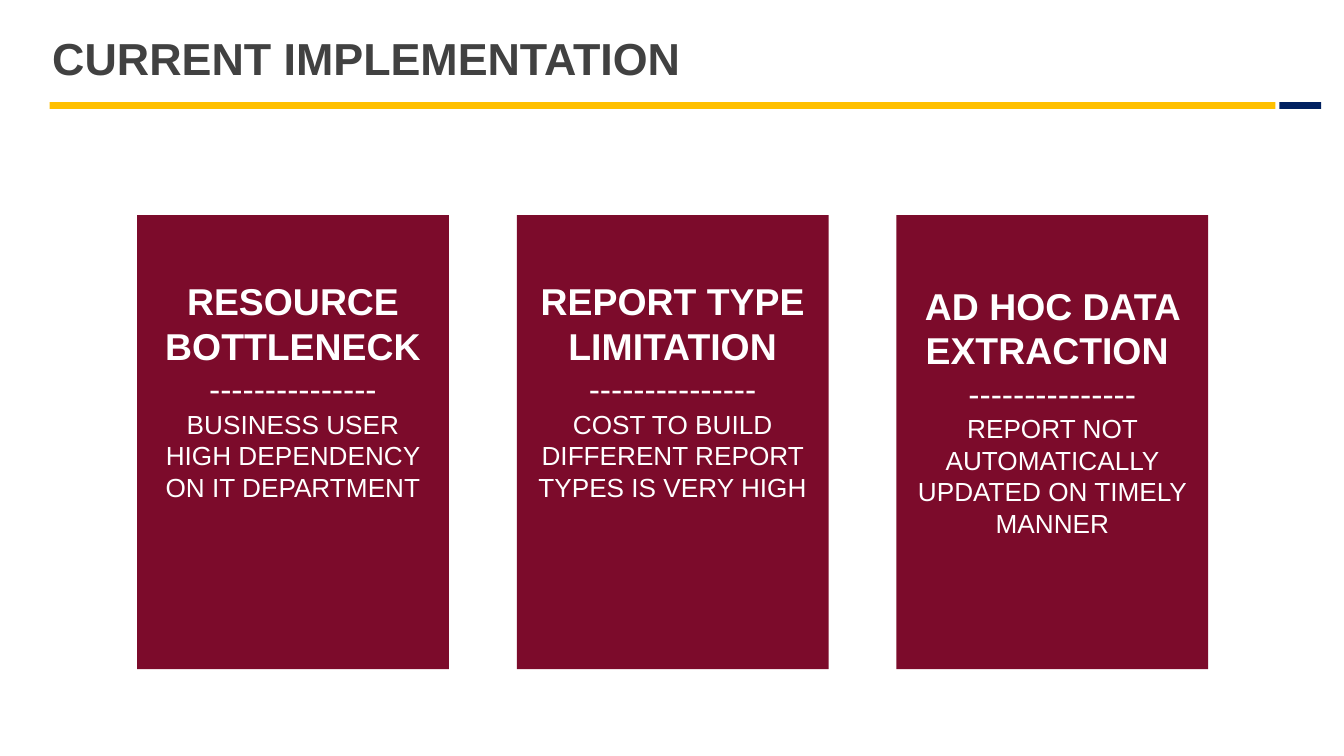
from pptx import Presentation
from pptx.dml.color import RGBColor
from pptx.enum.shapes import MSO_SHAPE as Shape
from pptx.enum.text import MSO_ANCHOR as Anchor, PP_ALIGN as Align
from pptx.util import Inches, Pt

GRAY = RGBColor(0x41, 0x41, 0x41)
WHITE = RGBColor(0xFF, 0xFF, 0xFF)
MAROON = RGBColor(0x7C, 0x0B, 0x2B)
GOLD = RGBColor(0xFF, 0xC0, 0x00)
NAVY = RGBColor(0x00, 0x20, 0x60)

# Heading, description, space kept free below the text
CARDS = [
    ("RESOURCE BOTTLENECK", "BUSINESS USER HIGH DEPENDENCY ON IT DEPARTMENT", 0.82),
    ("REPORT TYPE LIMITATION", "COST TO BUILD DIFFERENT REPORT TYPES IS VERY HIGH", 0.82),
    ("AD HOC DATA EXTRACTION ", "REPORT NOT AUTOMATICALLY UPDATED ON TIMELY MANNER", 0.52),
]
FIRST_LEFT, LAST_LEFT = 1.02, 6.67
CARD_PITCH = (LAST_LEFT - FIRST_LEFT) / (len(CARDS) - 1)


def add_block(left, top, width, height, color):
    block = slide.shapes.add_shape(
        Shape.RECTANGLE, Inches(left), Inches(top), Inches(width), Inches(height))
    block.shadow.inherit = False
    block.fill.solid()
    block.fill.fore_color.rgb = color
    block.line.fill.background()
    return block


def write(para, text, size, color, bold):
    para.text = text
    font = para.runs[0].font
    font.name = "Arial"
    font.size = Pt(size)
    font.bold = bold
    font.color.rgb = color


deck = Presentation()
deck.slide_width = Inches(10)
deck.slide_height = deck.slide_width * 9 // 16
slide = deck.slides.add_slide(deck.slide_layouts[6])

title = slide.shapes.add_textbox(Inches(0.29), Inches(0.06), Inches(7.71), Inches(0.8))
frame = title.text_frame
frame.word_wrap = True
frame.vertical_anchor = Anchor.MIDDLE
frame.margin_top = frame.margin_bottom = 0
write(frame.paragraphs[0], "CURRENT IMPLEMENTATION", 24, GRAY, True)
frame.paragraphs[0].line_spacing = 0.85

add_block(0.37, 0.76, 9.12, 0.05, GOLD)
add_block(9.52, 0.76, 0.31, 0.05, NAVY)

for index, (heading, description, space_below) in enumerate(CARDS):
    card = add_block(FIRST_LEFT + index * CARD_PITCH, 1.6, 2.32, 3.38, MAROON)
    frame = card.text_frame
    frame.word_wrap = True
    frame.vertical_anchor = Anchor.MIDDLE
    frame.margin_bottom = Inches(space_below)
    lines = [(heading, 20, True), ("-" * 15, 18, False), (description, 14, False)]
    for number, (text, size, bold) in enumerate(lines):
        para = frame.add_paragraph() if number else frame.paragraphs[0]
        write(para, text, size, WHITE, bold)
        para.alignment = Align.CENTER

deck.save("out.pptx")
